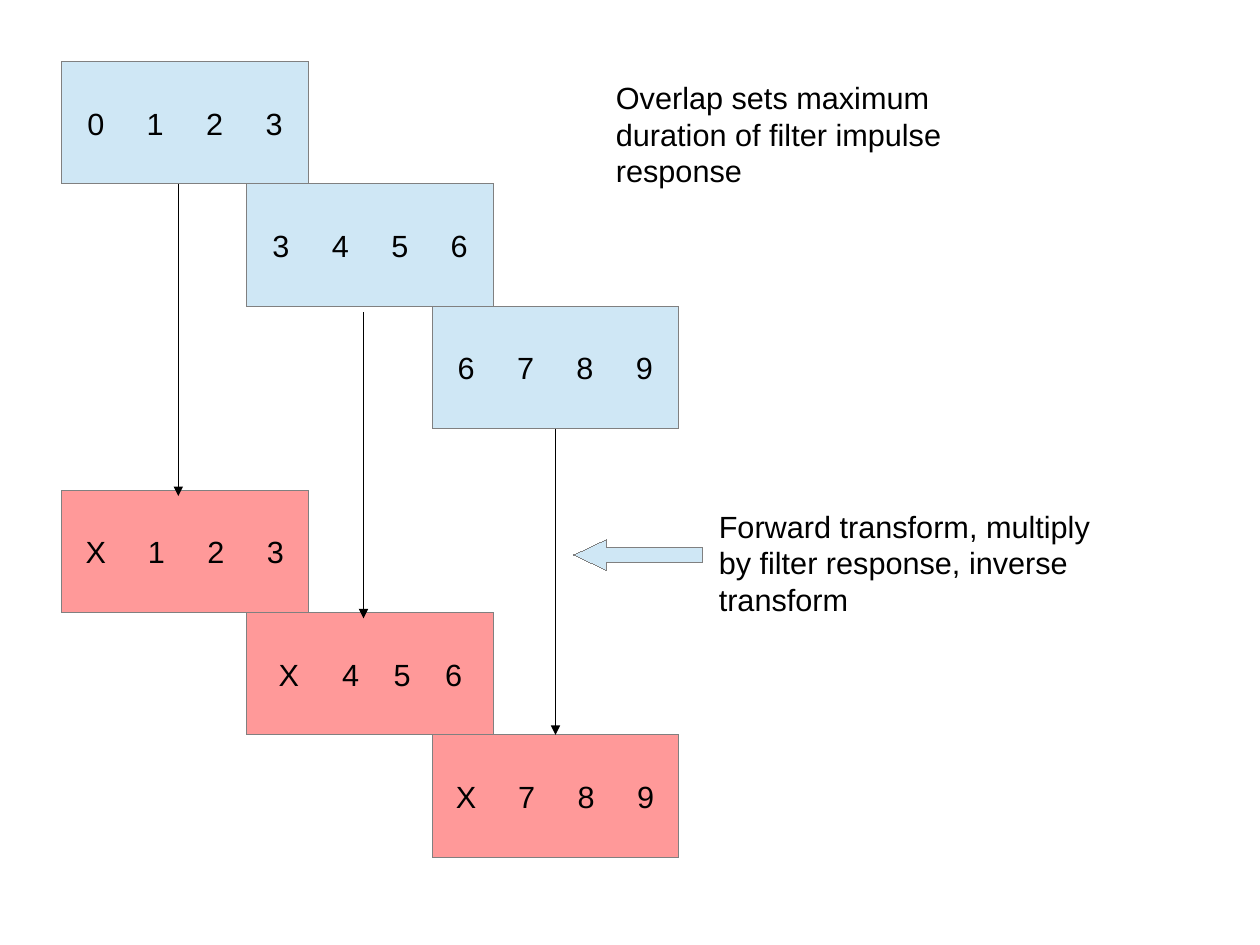
from lxml.etree import SubElement
from pptx import Presentation
from pptx.dml.color import RGBColor
from pptx.enum.shapes import MSO_CONNECTOR, MSO_SHAPE
from pptx.enum.text import MSO_ANCHOR, MSO_AUTO_SIZE, PP_ALIGN
from pptx.oxml.ns import qn
from pptx.util import Inches, Pt

COLORS = {"input": "CFE7F5", "output": "FF9999", "outline": "808080", "black": "000000"}
BOX_W, BOX_H = 2.16, 1.07
STEP_X = 1.62  # neighbouring blocks share one sample
LEFT = 0.54


def write(sp, text, size=19.3, font="Arial", color="black", anchor=MSO_ANCHOR.TOP, tabs=()):
    """Write one paragraph, with centred tab stops given in inches."""
    tf = sp.text_frame
    tf.word_wrap = True
    tf.vertical_anchor = anchor
    p = tf.paragraphs[0]
    p.alignment = PP_ALIGN.LEFT
    r = p.add_run()
    r.text = text
    r.font.size = Pt(size)
    r.font.name = font
    r.font.color.rgb = RGBColor.from_string(COLORS[color])
    if tabs:
        tab_list = SubElement(p._p.get_or_add_pPr(), qn("a:tabLst"))
        for pos in tabs:
            SubElement(tab_list, qn("a:tab"), pos=str(Inches(pos)), algn="ctr")


def add_block(kind, x, y, w, h, fill):
    sp = s.shapes.add_shape(kind, Inches(x), Inches(y), Inches(w), Inches(h))
    sp.shadow.inherit = False
    sp.fill.solid()
    sp.fill.fore_color.rgb = RGBColor.from_string(COLORS[fill])
    sp.line.color.rgb = RGBColor.from_string(COLORS["outline"])
    sp.line.width = Pt(0)
    return sp


prs = Presentation()
prs.slide_width = Inches(28 / 2.54)  # 28 by 21 cm
prs.slide_height = Inches(21 / 2.54)
s = prs.slides.add_slide(prs.slide_layouts[6])

# Overlapping blocks: fill, top of the staircase, samples with first stop, second stop, step
rows = [
    ("input", 0.54, [("0123", 0.2, 0.72, 0.52), ("3456", 0.2, 0.72, 0.52),
                     ("6789", 0.2, 0.72, 0.52)]),
    ("output", 4.29, [("X123", 0.2, 0.73, 0.52), ("X456", 0.27, 0.81, 0.45),
                      ("X789", 0.2, 0.73, 0.52)]),
]
blocks = {}
for fill, top, samples in rows:
    for i, (symbols, first, second, step) in enumerate(samples):
        sp = add_block(MSO_SHAPE.RECTANGLE, LEFT + i * STEP_X, top + i * BOX_H, BOX_W, BOX_H, fill)
        tabs = [first] + [second + k * step for k in range(3)]
        write(sp, "".join("\t" + c for c in symbols), anchor=MSO_ANCHOR.MIDDLE, tabs=tabs)
        blocks[fill, i] = sp

# Arrows from each input block to its output block
arrows = []
for x, y1, y2 in [(1.56, 1.61, 4.34), (3.18, 2.73, 5.41), (4.86, 3.75, 6.43)]:
    arrow = s.shapes.add_connector(MSO_CONNECTOR.STRAIGHT, Inches(x), Inches(y1), Inches(x), Inches(y2))
    arrow.line.color.rgb = RGBColor.from_string(COLORS["black"])
    arrow.line.width = Pt(0)
    SubElement(arrow.line._get_or_add_ln(), qn("a:tailEnd"), type="triangle")
    SubElement(arrow._element.spPr, qn("a:effectLst"))
    arrows.append(arrow)
arrows[2].begin_connect(blocks["input", 2], 2)
arrows[2].end_connect(blocks["output", 2], 0)

pointer = add_block(MSO_SHAPE.LEFT_ARROW, 5.02, 4.72, 1.13, 0.27, "input")
pointer.adjustments[0] = 0.5
pointer.adjustments[1] = 1.06

notes = [
    (5.29, 0.64, 3.78, "Overlap sets maximum duration of filter impulse response"),
    (6.19, 4.39, 3.58, "Forward transform, multiply by filter response, inverse transform"),
]
for x, y, w, text in notes:
    box = s.shapes.add_textbox(Inches(x), Inches(y), Inches(w), Inches(1.01))
    box.text_frame.auto_size = MSO_AUTO_SIZE.SHAPE_TO_FIT_TEXT
    write(box, text)

# Theme line styles would override the hairlines
for style in s.shapes._spTree.findall(".//" + qn("p:style")):
    style.getparent().remove(style)

prs.save("out.pptx")
